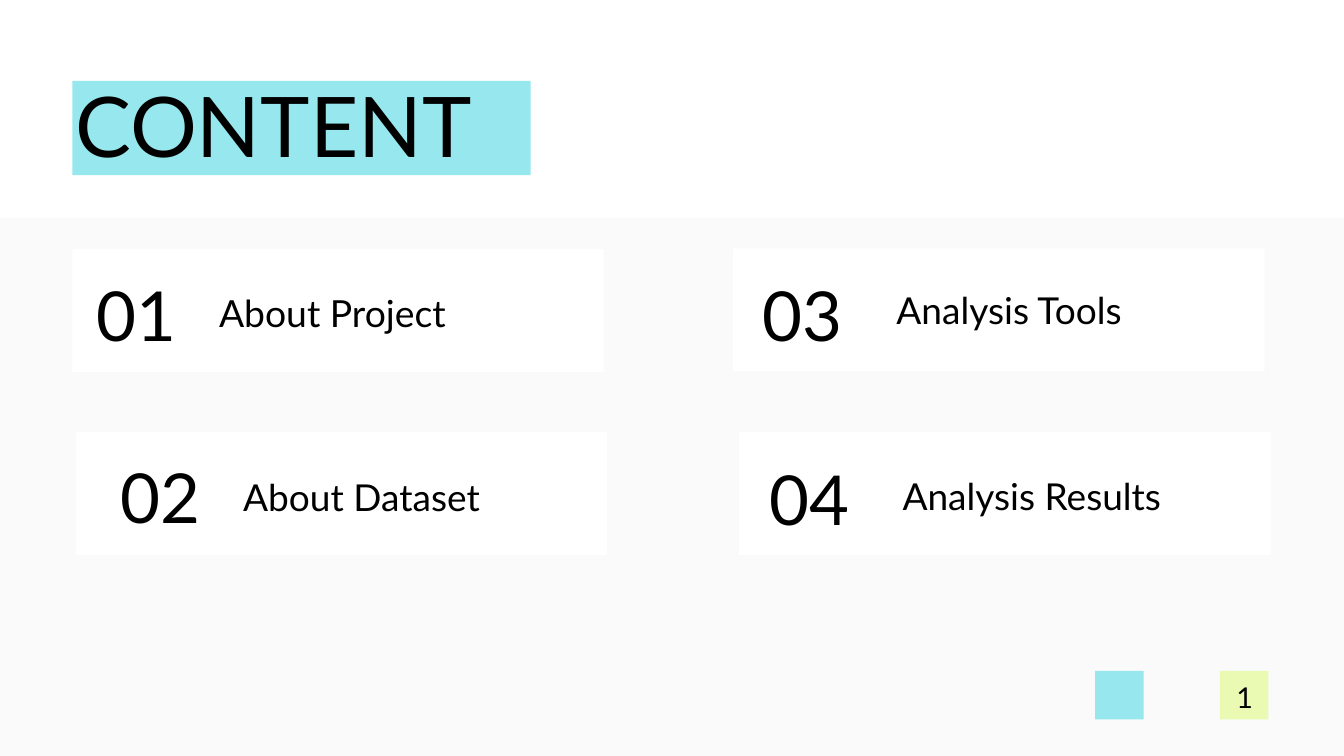
from dataclasses import dataclass

from pptx import Presentation
from pptx.dml.color import RGBColor
from pptx.enum.shapes import MSO_SHAPE
from pptx.enum.text import PP_ALIGN
from pptx.util import Pt

RECTANGLE = MSO_SHAPE.RECTANGLE
LEFT, CENTER = PP_ALIGN.LEFT, PP_ALIGN.CENTER

PAGE_WIDTH, PAGE_HEIGHT = 1440, 810


@dataclass(frozen=True)
class Theme:
    font: str = "Lato"
    ink: str = "000000"
    white: str = "FFFFFF"
    band: str = "FAFAFA"
    cyan: str = "96E8EE"
    lime: str = "EAFAB2"
    # Each type style is (size, line spacing)
    title: tuple = (89.6, 96.7)
    number: tuple = (73.8, 103.4)
    lead_label: tuple = (40, 56)
    label: tuple = (39.7, 55.6)
    page_number: tuple = (30.7, 43)


class SlideBuilder:
    def __init__(self, page, theme):
        self.page = page
        self.theme = theme

    def background(self, color):
        fill = self.page.background.fill
        fill.solid()
        fill.fore_color.rgb = RGBColor.from_string(color)

    def block(self, left, top, width, height, color):
        shape = self.page.shapes.add_shape(
            RECTANGLE, Pt(left), Pt(top), Pt(width), Pt(height))
        shape.shadow.inherit = False
        shape.fill.solid()
        shape.fill.fore_color.rgb = RGBColor.from_string(color)
        shape.line.fill.background()

    def text(self, left, top, width, height, words, style, align=LEFT):
        box = self.page.shapes.add_textbox(
            Pt(left), Pt(top), Pt(width), Pt(height))
        frame = box.text_frame
        frame.word_wrap = True
        frame.margin_left = frame.margin_right = 0
        frame.margin_top = frame.margin_bottom = 0
        frame.text = words
        size, spacing = style
        para = frame.paragraphs[0]
        para.alignment = align
        para.line_spacing = Pt(spacing)
        font = para.runs[0].font
        font.name = self.theme.font
        font.size = Pt(size)
        font.color.rgb = RGBColor.from_string(self.theme.ink)

    def card(self, number, title, card_at, number_at, title_at, title_style):
        self.block(*card_at, 569.3, 131.8, self.theme.white)
        self.text(*number_at, 106.6, 99.4, f"{number:02d}", self.theme.number)
        self.text(*title_at, 355.7, 53.3, title, title_style)


def main():
    theme = Theme()
    deck = Presentation()
    deck.slide_width, deck.slide_height = Pt(PAGE_WIDTH), Pt(PAGE_HEIGHT)
    builder = SlideBuilder(deck.slides.add_slide(deck.slide_layouts[6]), theme)
    builder.background(theme.white)

    # Title highlight and lower band
    builder.block(77.5, 86.6, 491, 101.2, theme.cyan)
    band_top = 233.4
    builder.block(0, band_top, PAGE_WIDTH, PAGE_HEIGHT - band_top, theme.band)

    # Corner squares
    for left, color in ((1307, theme.lime), (1173.4, theme.cyan)):
        builder.block(left, 718.8, 52, 52, color)

    builder.text(80.8, 90, 711.4, 99.4, "CONTENT", theme.title)

    # Content cards: title, then places of card, number and title
    cards = (
        ("About Project", (77.5, 267), (103.7, 277.2), (234.7, 302.4),
         theme.lead_label),
        ("About Dataset", (81, 463), (129.6, 472.3), (260.6, 500.4),
         theme.label),
        ("Analysis Tools", (785.6, 266.2), (817.2, 277.2), (960.5, 300.2),
         theme.label),
        ("Analysis Results", (792, 463), (824.4, 474.5), (967, 499),
         theme.label),
    )
    for number, (title, *places, style) in enumerate(cards, start=1):
        builder.card(number, title, *places, style)

    # Page number
    builder.text(1308.2, 722.2, 51, 41, "1", theme.page_number, CENTER)

    deck.save("out.pptx")


if __name__ == "__main__":
    main()
